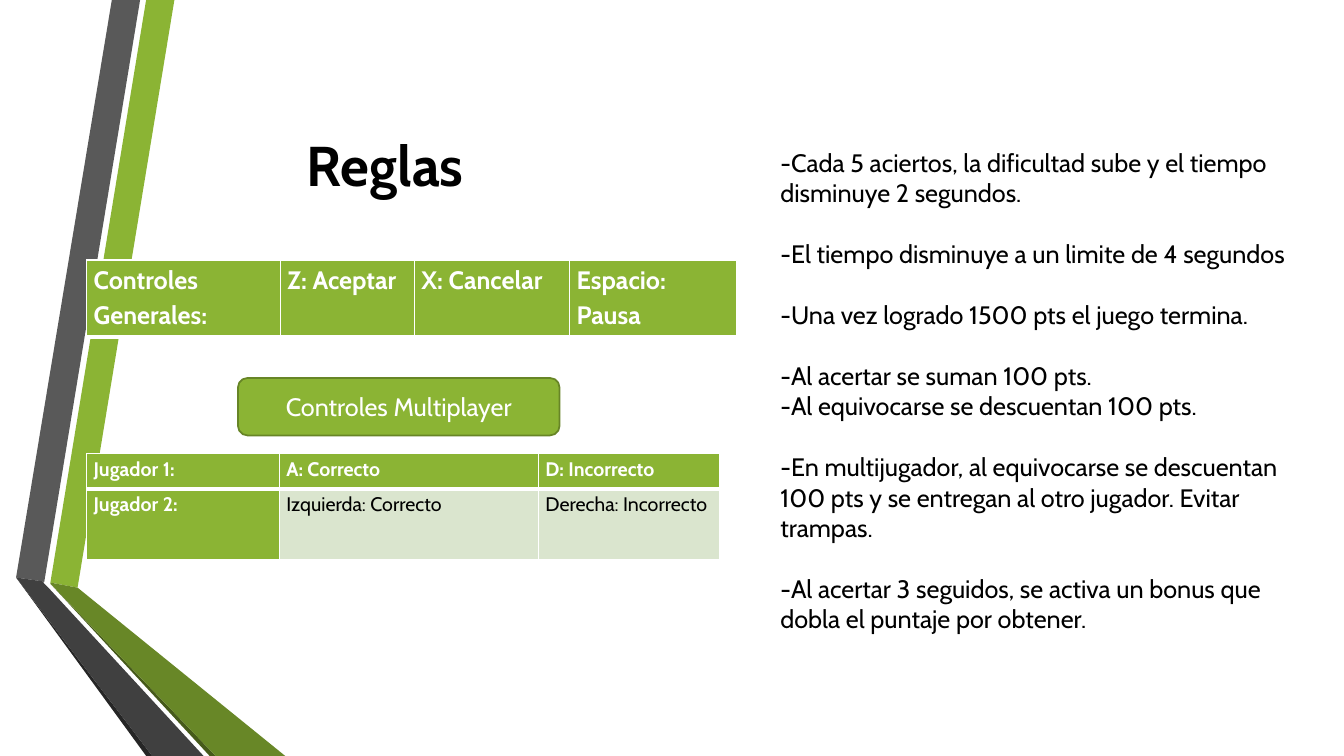
"""Build the "Reglas" slide: game controls in tables, rules in a list."""
from dataclasses import dataclass

import lxml.etree
import pptx
import pptx.dml.color
import pptx.enum.shapes
import pptx.enum.text
import pptx.oxml.ns
import pptx.util


@dataclass(frozen=True)
class Theme:
    font: str = "Cabin"
    black: str = "000000"
    white: str = "FFFFFF"
    green: str = "8BB434"
    edge: str = "678526"
    pale: str = "DAE5CE"
    title: int = 40
    body: int = 18
    small: int = 14


theme = Theme()
align = pptx.enum.text.PP_ALIGN
anchor = pptx.enum.text.MSO_ANCHOR
color = pptx.dml.color.RGBColor.from_string
unit = pptx.util.Inches(0.01)


def span(*cells):
    """Turn grid columns and rows, 100 to the inch, into lengths."""
    return [cell * unit for cell in cells]


def write(para, text, size=theme.body, ink=theme.black, bold=False,
          side=align.LEFT, line=1.0, before=0):
    """Write text into a paragraph with its format."""
    para.alignment, para.line_spacing = side, line
    para.space_before = pptx.util.Pt(before)
    run = para.add_run()
    run.text = text
    run.font.name, run.font.bold = theme.font, bold
    run.font.size = pptx.util.Pt(size)
    run.font.color.rgb = color(ink)


deck = pptx.Presentation()
deck.slide_width, deck.slide_height = span(1333, 750)
slide = deck.slides.add_slide(deck.slide_layouts[1])
shapes = slide.shapes
title, rules = slide.placeholders

bands = [
    (theme.green, [(50, 578), (77, 583), (173, 0), (145, 0)]),
    ("595959", [(139, 0), (111, 0), (16, 573), (44, 577)]),
    ("262626", [(16, 573), (145, 750), (151, 750)]),
    ("465A1A", [(50, 579), (208, 750), (214, 750)]),
    ("688727", [(50, 579), (214, 750), (283, 750), (77, 583), (50, 578)]),
    ("404040", [(202, 750), (48, 583), (43, 578), (44, 577), (16, 573),
                (151, 750)]),
]
for tint, points in bands:
    path = shapes.build_freeform(*points[0], scale=unit)
    path.add_line_segments(points[1:], close=True)
    band = path.convert_to_shape()
    band.shadow.inherit = False
    band.fill.solid()
    band.fill.fore_color.rgb = color(tint)
    band.line.fill.background()

title.left, title.top, title.width, title.height = span(-166, 67, 1096, 192)
title.text_frame.vertical_anchor = anchor.MIDDLE
write(title.text_frame.paragraphs[0], "Reglas", size=theme.title, bold=True,
      side=align.CENTER)

tables = [
    (450, theme.small, [191, 257, 180], [35, 70], [
        ["Jugador 1:", "A: Correcto", "D: Incorrecto"],
        ["Jugador 2:", "Izquierda: Correcto", "Derecha: Incorrecto"]]),
    (258, theme.body, [192, 133, 154, 166], [76], [
        ["Controles Generales:", "Z: Aceptar", "X: Cancelar",
         "Espacio: Pausa"]]),
]
for top, size, cols, rows, texts in tables:
    place = span(86, top, sum(cols), sum(rows))
    grid = shapes.add_table(len(rows), len(cols), *place).table
    for col, width in zip(grid.columns, span(*cols)):
        col.width = width
    for row, height in zip(grid.rows, span(*rows)):
        row.height = height
    for r, words in enumerate(texts):
        for c, text in enumerate(words):
            cell = grid.cell(r, c)
            head = r == 0 or c == 0
            cell.margin_left, cell.margin_right = span(7, 7)
            cell.margin_top = cell.margin_bottom = 0
            props = cell._tc.get_or_add_tcPr()
            sides = {"L": 1, "R": 1, "T": 3 if r else 1, "B": 1 if r else 3}
            for side, weight in sides.items():
                line = lxml.etree.SubElement(
                    props, pptx.oxml.ns.qn(f"a:ln{side}"),
                    w=str(pptx.util.Pt(weight)))
                fill = lxml.etree.SubElement(
                    line, pptx.oxml.ns.qn("a:solidFill"))
                lxml.etree.SubElement(
                    fill, pptx.oxml.ns.qn("a:srgbClr"), val=theme.white)
            cell.fill.solid()
            cell.fill.fore_color.rgb = color(
                theme.green if head else theme.pale)
            write(cell.text_frame.paragraphs[0], text, size=size, bold=head,
                  ink=theme.white if head else theme.black,
                  side=align.JUSTIFY, line=1.15)

rules.left, rules.top, rules.width, rules.height = span(764, 141, 530, 555)
frame = rules.text_frame
frame.auto_size = pptx.enum.text.MSO_AUTO_SIZE.NONE
gap = 22
items = [
    ("-Cada 5 aciertos, la dificultad sube y el tiempo disminuye 2 segundos.",
     0),
    ("-El tiempo disminuye a un limite de 4 segundos", gap),
    ("-Una vez logrado 1500 pts el juego termina.", gap),
    ("-Al acertar se suman 100 pts.", gap),
    ("-Al equivocarse se descuentan 100 pts.", 0),
    ("-En multijugador, al equivocarse se descuentan 100 pts y se entregan "
     "al otro jugador. Evitar trampas.", gap),
    ("-Al acertar 3 seguidos, se activa un bonus que dobla el puntaje por "
     "obtener.", gap),
]
for i, (text, before) in enumerate(items):
    para = frame.add_paragraph() if i else frame.paragraphs[0]
    write(para, text, before=before)
    props = para._p.get_or_add_pPr()
    props.set("marL", "0")
    props.set("indent", "0")
    lxml.etree.SubElement(props, pptx.oxml.ns.qn("a:buNone"))

label = shapes.add_shape(pptx.enum.shapes.MSO_SHAPE.ROUNDED_RECTANGLE,
                         *span(236, 375, 319, 57))
label.shadow.inherit = False
label.fill.solid()
label.fill.fore_color.rgb = color(theme.green)
label.line.color.rgb = color(theme.edge)
label.line.width = pptx.util.Pt(1.25)
label.text_frame.vertical_anchor = anchor.MIDDLE
write(label.text_frame.paragraphs[0], "Controles Multiplayer",
      ink=theme.white, side=align.CENTER)

deck.save("out.pptx")
